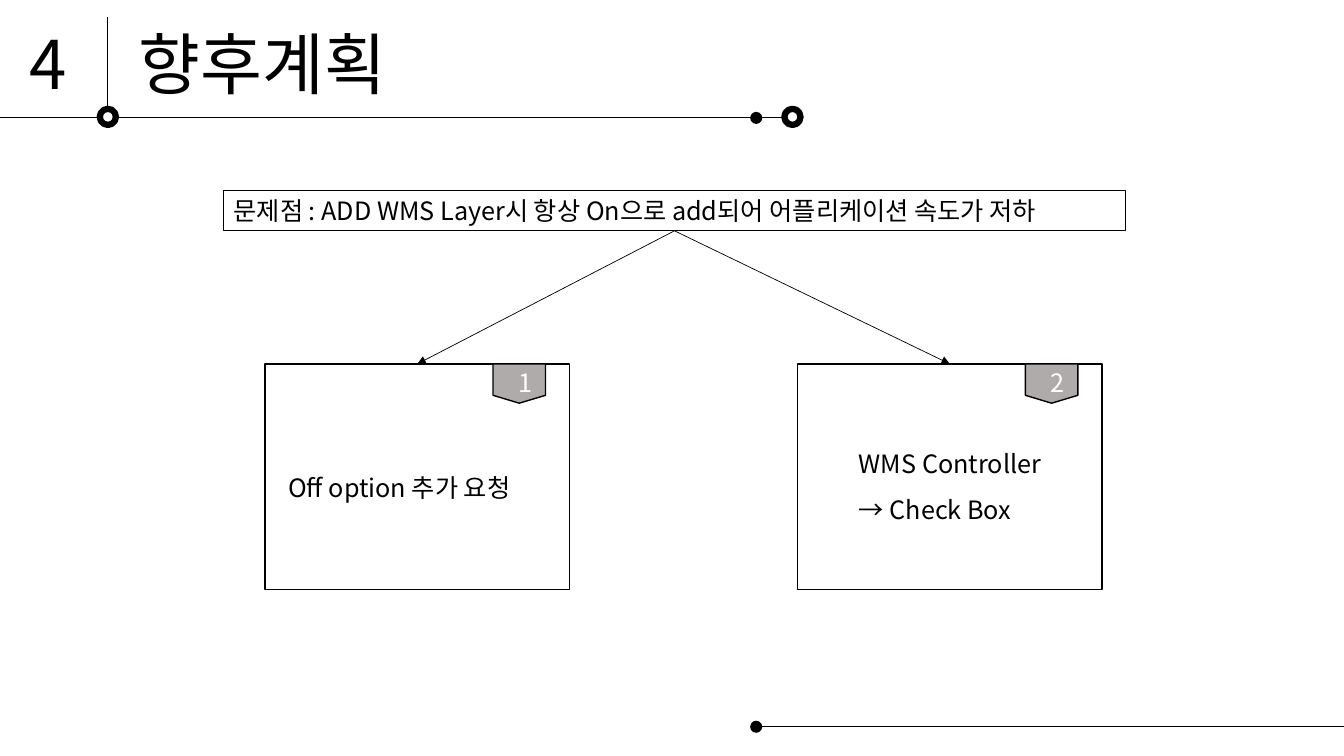
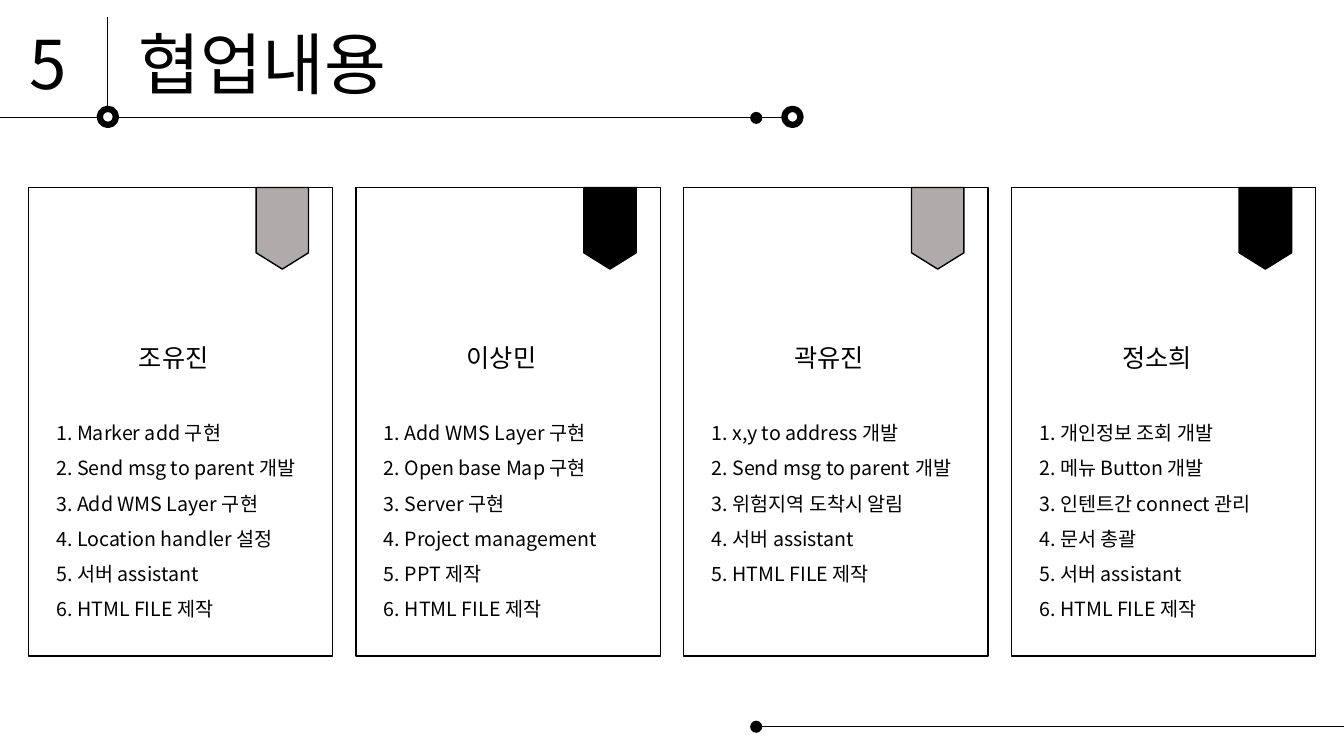
"""Build the two slides on future plans and on how the team shared the work."""
from lxml.etree import SubElement
from pptx import Presentation
from pptx.dml.color import RGBColor
from pptx.enum.shapes import MSO_CONNECTOR, MSO_SHAPE
from pptx.enum.text import MSO_ANCHOR, MSO_AUTO_SIZE, PP_ALIGN
from pptx.oxml.ns import qn
from pptx.util import Inches, Pt

FONT = "Noto Sans CJK KR"
BLACK, WHITE, GRAY = "000000", "FFFFFF", "AFABAB"
CARD_WIDTH, TAG_OFFSET, TAG_WIDTH = 3.02, 2.26, 0.52


def draw_shape(slide, kind, box, fill=None, line_width=None):
    """Add a preset shape with an optional fill and black outline."""
    shape = slide.shapes.add_shape(kind, *map(Inches, box))
    shape.shadow.inherit = False
    if fill:
        shape.fill.solid()
        shape.fill.fore_color.rgb = RGBColor.from_string(fill)
    else:
        shape.fill.background()
    if line_width:
        shape.line.color.rgb = RGBColor.from_string(BLACK)
        shape.line.width = Pt(line_width)
    else:
        shape.line.fill.background()
    return shape


def write_text(shape, text, size, color=BLACK, align=PP_ALIGN.LEFT, spacing=None, wrap=True):
    """Fill a shape with text, one paragraph per line."""
    frame = shape.text_frame
    frame.text = text
    frame.word_wrap = wrap
    frame.auto_size = MSO_AUTO_SIZE.SHAPE_TO_FIT_TEXT
    frame.vertical_anchor = MSO_ANCHOR.TOP
    for paragraph in frame.paragraphs:
        paragraph.alignment = align
        paragraph.line_spacing = spacing
        for run in paragraph.runs:
            run.font.name = FONT
            run.font.size = Pt(size)
            run.font.color.rgb = RGBColor.from_string(color)
            SubElement(run.font._element, qn("a:ea"), typeface=FONT)


presentation = Presentation()
presentation.slide_width = Inches(13.33)
presentation.slide_height = Inches(7.5)

frame_lines = [(0, 1.16, 7.93, 1.16), (1.06, 0.17, 1.06, 1.08), (7.49, 7.21, 13.33, 7.21)]
plan_arrows = [(6.69, 2.29, 4.14, 3.61), (6.69, 2.29, 9.42, 3.61)]
slides = []
for number, title, arrows in [("4", "향후계획", plan_arrows), ("5", "협업내용", [])]:
    slide = presentation.slides.add_slide(presentation.slide_layouts[6])
    slides.append(slide)
    for ends in frame_lines + arrows:
        connector = slide.shapes.add_connector(MSO_CONNECTOR.STRAIGHT, *map(Inches, ends))
        connector.line.color.rgb = RGBColor.from_string(BLACK)
        connector.line.width = Pt(0.5)
        if ends in arrows:
            SubElement(connector.line._get_or_add_ln(), qn("a:tailEnd"), type="triangle")
        SubElement(connector._element.spPr, qn("a:effectLst"))
    for top in (1.11, 7.15):
        draw_shape(slide, MSO_SHAPE.OVAL, (7.44, top, 0.12, 0.12), BLACK)
    for left in (0.99, 7.78):
        draw_shape(slide, MSO_SHAPE.OVAL, (left, 1.08, 0.16, 0.16), WHITE, 4.5)
    for text, left, width in [(title, 1.28, 2.89), (number, 0.19, 0.57)]:
        heading = slide.shapes.add_textbox(*map(Inches, (left, 0.17, width, 0.91)))
        write_text(heading, text, 48, wrap=False)

plan_slide, team_slide = slides

problem = draw_shape(plan_slide, MSO_SHAPE.RECTANGLE, (2.22, 1.89, 8.94, 0.4), line_width=0.75)
write_text(problem, "문제점 : ADD WMS Layer시 항상 On으로 add되어 어플리케이션 속도가 저하", 18)

options = [
    ("1", 2.63, "Off option 추가 요청", (2.76, 4.49, 2.65, 0.5)),
    ("2", 7.91, "WMS Controller\n→ Check Box", (8.42, 4.25, 2.07, 0.95)),
]
for number, left, text, text_box in options:
    draw_shape(plan_slide, MSO_SHAPE.RECTANGLE, (left, 3.61, CARD_WIDTH, 2.24), WHITE, 1)
    draw_shape(plan_slide, MSO_SHAPE.FLOWCHART_OFFPAGE_CONNECTOR,
               (left + TAG_OFFSET, 3.61, TAG_WIDTH, 0.39), GRAY, 1)
    label = plan_slide.shapes.add_textbox(*map(Inches, (left + 2.41, 3.59, 0.24, 0.4)))
    write_text(label, number, 18, WHITE, PP_ALIGN.CENTER)
    description = plan_slide.shapes.add_textbox(*map(Inches, text_box))
    write_text(description, text, 18, align=PP_ALIGN.JUSTIFY, spacing=1.5)

members = [
    ("조유진", GRAY, ["Marker add 구현", "Send msg to parent 개발", "Add WMS Layer 구현",
                   "Location handler 설정", "서버 assistant", "HTML FILE 제작"]),
    ("이상민", BLACK, ["Add WMS Layer 구현", "Open base Map 구현", "Server 구현",
                    "Project management", "PPT 제작", "HTML FILE 제작"]),
    ("곽유진", GRAY, ["x,y to address 개발", "Send msg to parent 개발", "위험지역 도착시 알림",
                   "서버 assistant", "HTML FILE 제작"]),
    ("정소희", BLACK, ["개인정보 조회 개발", "메뉴 Button 개발", "인텐트간 connect 관리",
                    "문서 총괄", "서버 assistant", "HTML FILE 제작"]),
]
for index, (name, tag_color, tasks) in enumerate(members):
    left = 0.28 + 3.25 * index
    draw_shape(team_slide, MSO_SHAPE.RECTANGLE, (left, 1.86, CARD_WIDTH, 4.65), WHITE, 1)
    draw_shape(team_slide, MSO_SHAPE.FLOWCHART_OFFPAGE_CONNECTOR,
               (left + TAG_OFFSET, 1.86, TAG_WIDTH, 0.81), tag_color, 1)
    name_box = team_slide.shapes.add_textbox(*map(Inches, (left + 1, 3.35, 1.02, 0.4)))
    write_text(name_box, name, 18)
    task_height = 0.43 + 0.35 * len(tasks)
    task_box = team_slide.shapes.add_textbox(*map(Inches, (left + 0.18, 4.01, 2.65, task_height)))
    task_list = "\n".join(f"{rank}. {task}" for rank, task in enumerate(tasks, 1))
    write_text(task_box, task_list, 14, align=PP_ALIGN.JUSTIFY, spacing=1.5)

presentation.save("out.pptx")
